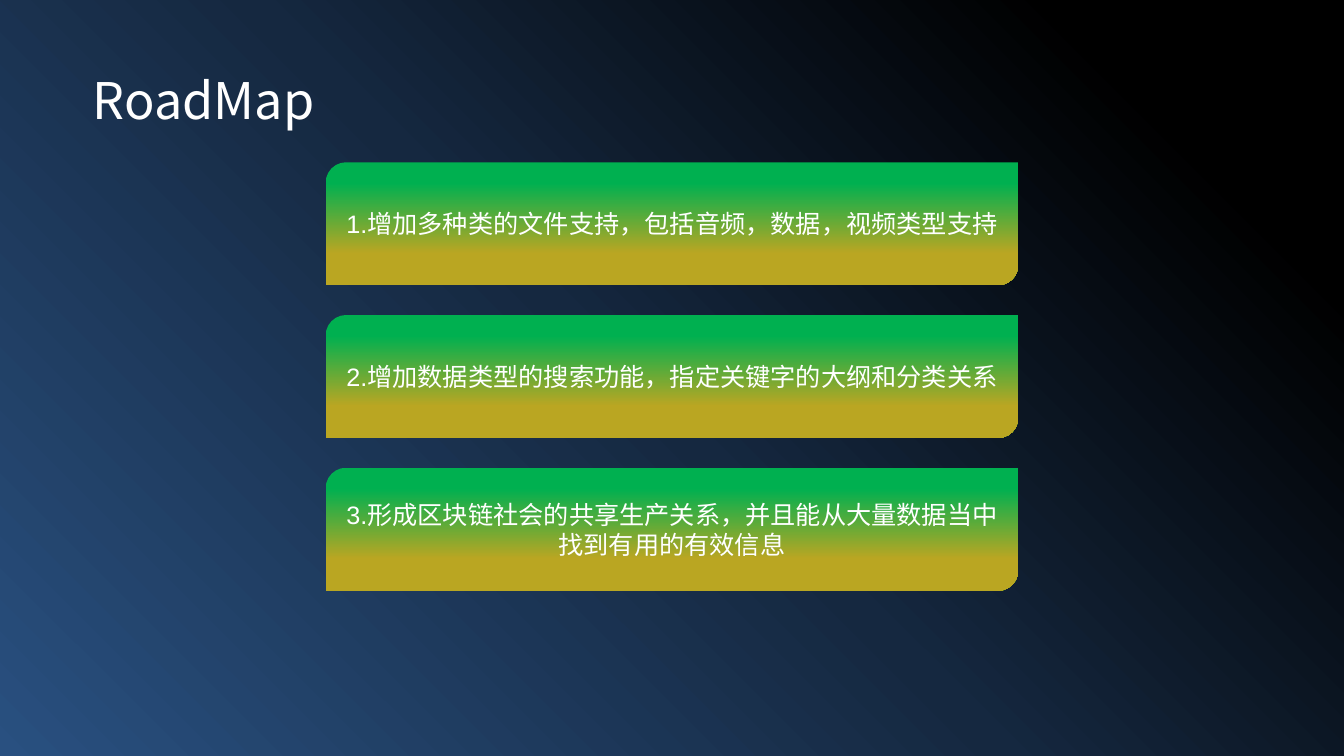
from pptx import Presentation
from pptx.dml.color import RGBColor
from pptx.enum.shapes import MSO_SHAPE
from pptx.enum.text import MSO_ANCHOR, PP_ALIGN
from pptx.oxml import parse_xml
from pptx.oxml.ns import nsdecls, qn
from pptx.util import Inches, Pt

TITLE = "RoadMap"
STEPS = [
    "1.增加多种类的文件支持，包括音频，数据，视频类型支持",
    "2.增加数据类型的搜索功能，指定关键字的大纲和分类关系",
    "3.形成区块链社会的共享生产关系，并且能从大量数据当中找到有用的有效信息",
]

WHITE = RGBColor(0xFF, 0xFF, 0xFF)
GREEN = RGBColor(0x00, 0xB0, 0x50)
GOLD = RGBColor(0xBA, 0xA6, 0x22)
BLACK = RGBColor(0x00, 0x00, 0x00)
NAVY = RGBColor(0x15, 0x28, 0x40)
BLUE = RGBColor(0x29, 0x50, 0x80)

CARD_STOPS = [(0.17, GREEN), (0.74, GOLD)]
BACKGROUND_STOPS = [(14, BLACK), (52, NAVY), (100, BLUE)]
CJK_FONT = "Noto Sans CJK SC"
TITLE_FONT = {"name": CJK_FONT, "size": Pt(36)}
CARD_FONT = {"name": "Arial", "size": Pt(18)}

CARD_LEFT, CARD_TOP = 3.23, 1.61
CARD_WIDTH, CARD_HEIGHT = 6.87, 1.22
CARD_PITCH = 1.515


def write(sp, text, font):
    tf = sp.text_frame
    tf.word_wrap = True
    p = tf.paragraphs[0]
    p.alignment = PP_ALIGN.CENTER
    r = p.add_run()
    r.text = text
    for name, value in font.items():
        setattr(r.font, name, value)
    r.font.color.rgb = WHITE
    ea = r._r.get_or_add_rPr().makeelement(qn("a:ea"), {"typeface": CJK_FONT})
    r.font._element.find(qn("a:latin")).addnext(ea)


def set_background(s):
    """Fill the slide with a circular gradient centred on the top right corner."""
    stops = "".join(
        f'<a:gs pos="{pos * 1000}"><a:srgbClr val="{color}"/></a:gs>'
        for pos, color in BACKGROUND_STOPS
    )
    grad = parse_xml(
        f'<a:gradFill {nsdecls("a")} rotWithShape="1"><a:gsLst>{stops}</a:gsLst>'
        '<a:path path="circle"><a:fillToRect l="100000" b="100000"/></a:path>'
        "</a:gradFill>"
    )
    s.background.fill.solid()
    solid = s._element.find(".//" + qn("p:bgPr")).find(qn("a:solidFill"))
    solid.getparent().replace(solid, grad)


def add_card(s, index, text):
    sp = s.shapes.add_shape(
        MSO_SHAPE.ROUND_2_DIAG_RECTANGLE,
        Inches(CARD_LEFT), Inches(CARD_TOP + index * CARD_PITCH),
        Inches(CARD_WIDTH), Inches(CARD_HEIGHT),
    )
    sp.shadow.inherit = False
    sp.line.fill.background()
    sp.fill.gradient()
    sp.fill.gradient_angle = 270
    for stop, (position, color) in zip(sp.fill.gradient_stops, CARD_STOPS):
        stop.position = position
        stop.color.rgb = color
    sp.text_frame.vertical_anchor = MSO_ANCHOR.MIDDLE
    write(sp, text, CARD_FONT)


def main():
    prs = Presentation()
    prs.slide_width, prs.slide_height = Inches(13.33), Inches(7.5)
    s = prs.slides.add_slide(prs.slide_layouts[6])
    set_background(s)
    for index, text in enumerate(STEPS):
        add_card(s, index, text)
    title = s.shapes.add_textbox(Inches(0.18), Inches(0.64), Inches(3.68), Inches(0.71))
    write(title, TITLE, TITLE_FONT)
    prs.save("out.pptx")


if __name__ == "__main__":
    main()
